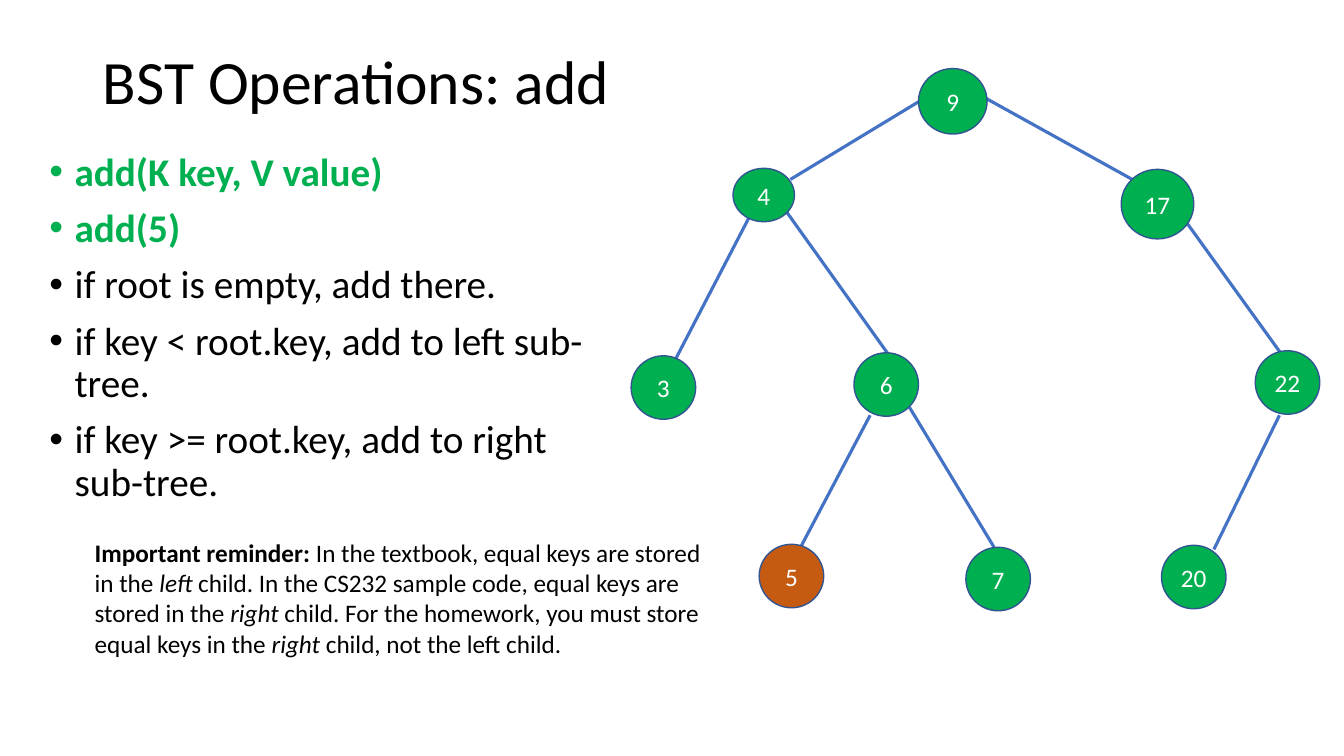
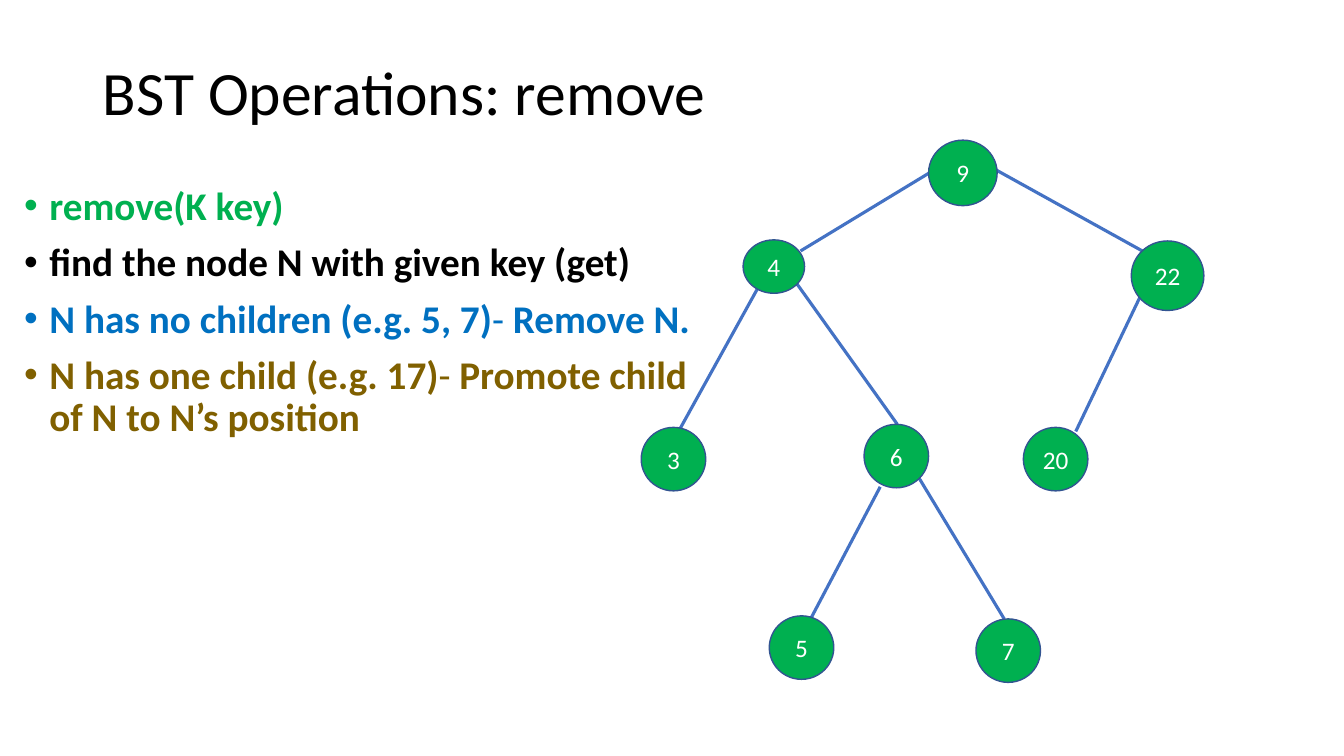
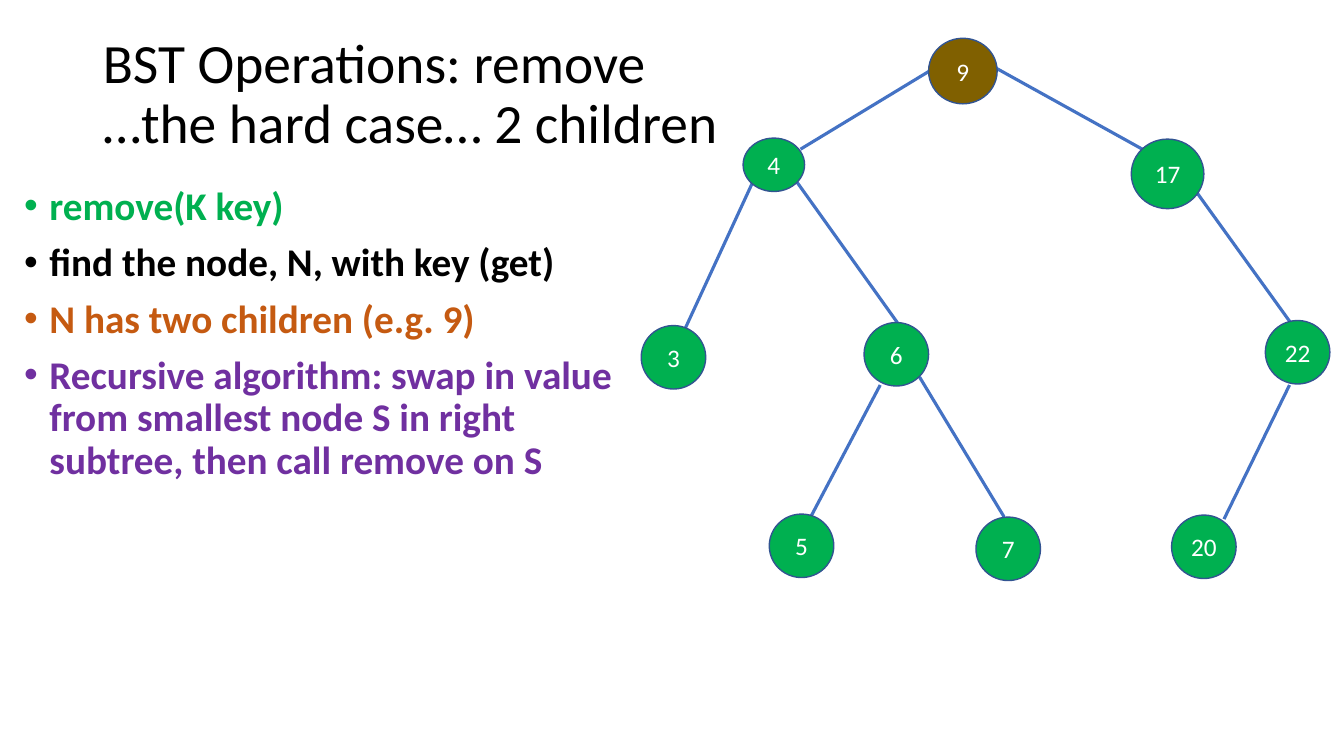
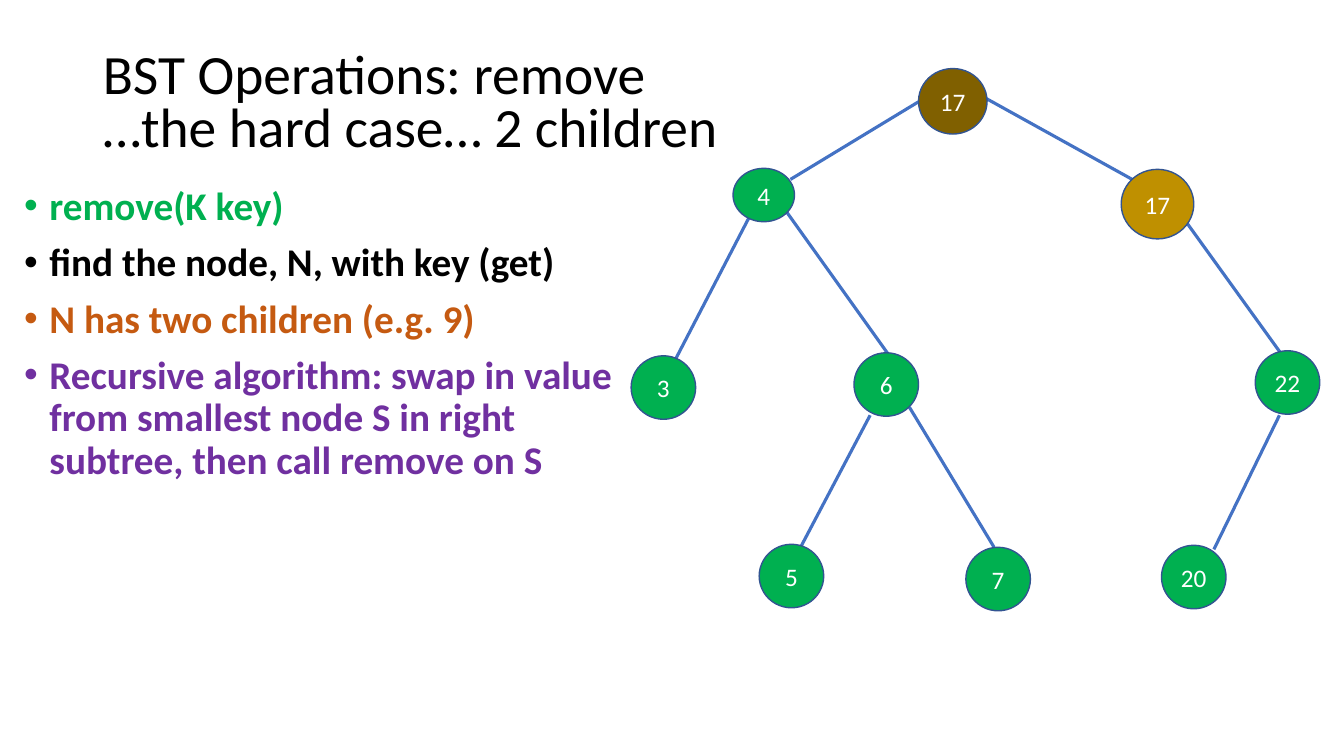
from copy import deepcopy
from dataclasses import dataclass, field, replace

from pptx import Presentation
from pptx.dml.color import RGBColor
from pptx.enum.shapes import MSO_CONNECTOR, MSO_SHAPE
from pptx.enum.text import MSO_ANCHOR, MSO_AUTO_SIZE, PP_ALIGN
from pptx.oxml.ns import qn
from pptx.oxml.xmlchemy import OxmlElement
from pptx.slide import Slide
from pptx.text.text import TextFrame, _Paragraph, _Run
from pptx.util import Inches, Pt

FONT = "Calibri"
COLORS = {
    "black": "000000", "white": "FFFFFF", "green": "00B050", "orange": "C55A11",
    "blue": "0070C0", "brown": "806000", "gold": "BF9000", "purple": "7030A0",
    "edge": "4472C4", "rim": "325491",
}


def rgb(name: str) -> RGBColor:
    return RGBColor.from_string(COLORS[name])


# Data types
@dataclass(frozen=True)
class Box:
    x: float
    y: float
    w: float
    h: float


@dataclass(frozen=True)
class Span:
    text: str
    bold: bool = False
    italic: bool = False


@dataclass(frozen=True)
class Item:
    spans: list[Span]
    color: str = "black"


@dataclass(frozen=True)
class Node:
    text: str
    x: float
    y: float
    w: float = 0.64
    h: float = 0.63
    color: str = "green"


@dataclass(frozen=True)
class Link:
    x1: float
    y1: float
    x2: float
    y2: float


@dataclass(frozen=True)
class Tree:
    nodes: dict[str, Node]
    links: dict[str, Link]
    dx: float = 0
    dy: float = 0


@dataclass(frozen=True)
class Page:
    title: str
    head: Box
    body: Box
    items: list[Item]
    tree: Tree
    size: float = 44
    lead: float = 0.9
    note: list[Span] = field(default_factory=list)


# Tree content, named by place in the tree
NODES = {
    "root": Node("9", 9.11, 0.68, 0.68, 0.65),
    "l": Node("4", 7.27, 1.67, 0.61, 0.53),
    "r": Node("17", 11.12, 1.68, 0.72, 0.69),
    "ll": Node("3", 6.26, 3.53),
    "lr": Node("6", 8.47, 3.5),
    "rr": Node("22", 12.45, 3.48),
    "lrl": Node("5", 7.53, 5.4),
    "lrr": Node("7", 9.58, 5.43),
    "rrl": Node("20", 11.52, 5.41),
}
LINKS = {
    "l": Link(9.11, 1.01, 7.84, 1.78),
    "r": Link(9.75, 0.96, 11.23, 1.78),
    "ll": Link(7.48, 2.06, 6.64, 3.68),
    "lr": Link(7.8, 2.1, 8.8, 3.5),
    "rr": Link(11.72, 2.14, 12.7, 3.5),
    "lrl": Link(8.63, 4.12, 7.94, 5.43),
    "lrr": Link(9.02, 4.04, 9.86, 5.43),
    "rrl": Link(12.69, 4.12, 12.04, 5.45),
}


def paint(**looks: dict[str, str]) -> dict[str, Node]:
    """Give the full tree with some nodes changed."""
    return NODES | {key: replace(NODES[key], **look) for key, look in looks.items()}


def prune(limbs: dict) -> dict:
    """Drop what hangs below the right child."""
    return {key: val for key, val in limbs.items() if not key.startswith("rr")}


FULL = Tree(paint(lrl={"color": "orange"}), LINKS)
CUT = Tree(
    prune(paint(r={"text": "22"})) | {"rl": Node("20", 10.05, 3.53)},
    prune(LINKS) | {"ll": Link(7.41, 2.16, 6.63, 3.57),
                    "rl": Link(11.21, 2.23, 10.57, 3.57)},
    0.1, 0.71,
)
HARD = Tree(paint(root={"color": "brown"}),
            LINKS | {"ll": Link(7.36, 2.12, 6.64, 3.68)}, 0.1, -0.3)
SWAP = Tree(paint(root={"text": "17", "color": "brown"}, r={"color": "gold"}), LINKS)


# Slide content
def strong(text: str, color: str = "black") -> Item:
    return Item([Span(text, True)], color)


def plain(text: str) -> Item:
    return Item([Span(text)])


def case(when: str, then: str, color: str) -> Item:
    return Item([Span(when, True), Span("- "), Span(then, True)], color)


CALL = strong("remove(K key)", "green")
STEPS = [
    CALL,
    strong("find the node, N, with key (get)"),
    strong("N has two children (e.g. 9)", "orange"),
    strong("Recursive algorithm: swap in value from smallest node S in right "
           "subtree, then call remove on S", "purple"),
]
TWO = "BST Operations: remove\n…the hard case… 2 children"
HEAD = Box(0.92, 0.4, 11.5, 1.1)
BODY = Box(0.14, 1.8, 6.14, 4.96)
NOTE = Box(0.84, 5.28, 6.39, 1.31)

PAGES = [
    Page(
        "BST Operations: add", replace(HEAD, h=0.88), Box(0.39, 1.46, 5.64, 5.29),
        [
            strong("add(K key, V value)", "green"),
            strong("add(5)", "green"),
            plain("if root is empty, add there."),
            plain("if key < root.key, add to left sub-tree."),
            plain("if key >= root.key, add to right sub-tree."),
        ],
        FULL,
        note=[
            Span("Important reminder: ", bold=True),
            Span("In the textbook, equal keys are stored in the "),
            Span("left", italic=True),
            Span(" child. In the CS232 sample code, equal keys are stored in the "),
            Span("right", italic=True),
            Span(" child. For the homework, you must store equal keys in the "),
            Span("right", italic=True),
            Span(" child, not the left child."),
        ],
    ),
    Page(
        "BST Operations: remove", HEAD, replace(BODY, w=6.88),
        [
            CALL,
            strong("find the node N with given key (get)"),
            case("N has no children (e.g. 5, 7)", "Remove N.", "blue"),
            case("N has one child (e.g. 17)", "Promote child of N to N’s position",
                 "brown"),
        ],
        CUT,
    ),
    Page(TWO, HEAD, BODY, STEPS, HARD, size=39.6),
    Page(TWO, replace(HEAD, h=1.28), BODY, STEPS, SWAP, size=39.6, lead=0.8),
]


# Text helpers
def style(run: _Run, size: float, color: str, **more: bool) -> None:
    form = {"name": FONT, "size": Pt(size), **more}
    for key, val in form.items():
        setattr(run.font, key, val)
    run.font.color.rgb = rgb(color)


def write(para: _Paragraph, spans: list[Span], size: float, color: str) -> None:
    for span in spans:
        run = para.add_run()
        run.text = span.text
        style(run, size, color, bold=span.bold, italic=span.italic)


def place(shape, box: Box) -> None:
    spots = {"left": box.x, "top": box.y, "width": box.w, "height": box.h}
    for key, val in spots.items():
        setattr(shape, key, Inches(val))


def setup(frame: TextFrame, **form) -> None:
    for key, val in ({"word_wrap": True, "auto_size": MSO_AUTO_SIZE.NONE} | form).items():
        setattr(frame, key, val)


# Slide pieces
def add_title(slide: Slide, page: Page) -> None:
    shape = slide.shapes.title
    place(shape, page.head)
    setup(shape.text_frame, vertical_anchor=MSO_ANCHOR.MIDDLE)
    para = shape.text_frame.paragraphs[0]
    para.text = page.title
    para.alignment = PP_ALIGN.LEFT
    para.line_spacing = page.lead
    for run in para.runs:
        style(run, page.size, "black")
    # A line break takes the size of the text around it
    for gap in para._p.findall(qn("a:br")):
        gap.append(deepcopy(para.runs[0]._r.rPr))


def add_list(slide: Slide, page: Page) -> None:
    shape = slide.placeholders[1]
    place(shape, page.body)
    frame = shape.text_frame
    setup(frame, vertical_anchor=MSO_ANCHOR.TOP)
    for num, item in enumerate(page.items):
        para = frame.add_paragraph() if num else frame.paragraphs[0]
        para.line_spacing = 0.9
        para.space_before = Pt(10)
        props = para._p.get_or_add_pPr()
        props.set("marL", str(Inches(0.25)))
        props.set("indent", str(-Inches(0.25)))
        write(para, item.spans, 28, item.color)


def add_link(slide: Slide, link: Link, dx: float, dy: float) -> None:
    line = slide.shapes.add_connector(
        MSO_CONNECTOR.STRAIGHT, Inches(link.x1 + dx), Inches(link.y1 + dy),
        Inches(link.x2 + dx), Inches(link.y2 + dy))
    line.line.color.rgb = rgb("edge")
    line.line.width = Pt(2.25)
    line._element.spPr.append(OxmlElement("a:effectLst"))


def add_node(slide: Slide, node: Node, dx: float, dy: float) -> None:
    shape = slide.shapes.add_shape(
        MSO_SHAPE.OVAL, Inches(node.x + dx), Inches(node.y + dy),
        Inches(node.w), Inches(node.h))
    shape.shadow.inherit = False
    shape.fill.solid()
    shape.fill.fore_color.rgb = rgb(node.color)
    shape.line.color.rgb = rgb("rim")
    shape.line.width = Pt(1)
    setup(shape.text_frame, word_wrap=False, vertical_anchor=MSO_ANCHOR.MIDDLE)
    para = shape.text_frame.paragraphs[0]
    para.alignment = PP_ALIGN.CENTER
    write(para, [Span(node.text)], 18, "white")


def add_tree(slide: Slide, tree: Tree) -> None:
    for link in tree.links.values():
        add_link(slide, link, tree.dx, tree.dy)
    for node in tree.nodes.values():
        add_node(slide, node, tree.dx, tree.dy)


def add_note(slide: Slide, spans: list[Span]) -> None:
    shape = slide.shapes.add_textbox(0, 0, 0, 0)
    place(shape, NOTE)
    setup(shape.text_frame, auto_size=MSO_AUTO_SIZE.SHAPE_TO_FIT_TEXT)
    write(shape.text_frame.paragraphs[0], spans, 18, "black")


def main() -> None:
    deck = Presentation()
    deck.slide_width = Inches(13.33)
    deck.slide_height = Inches(7.5)
    for page in PAGES:
        slide = deck.slides.add_slide(deck.slide_layouts[1])
        add_title(slide, page)
        add_list(slide, page)
        add_tree(slide, page.tree)
        if page.note:
            add_note(slide, page.note)
    deck.save("out.pptx")


if __name__ == "__main__":
    main()
